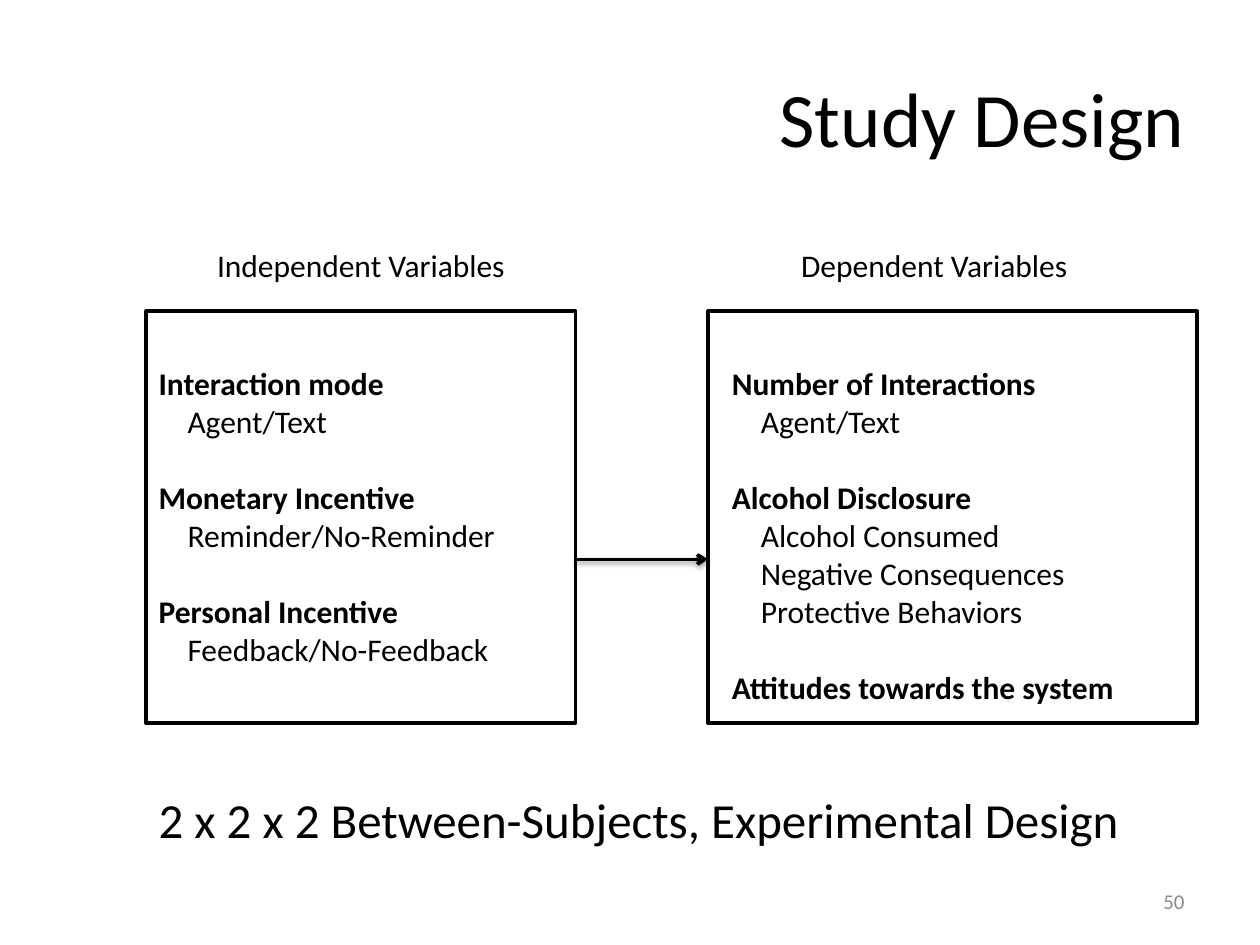
import pptx
import pptx.util
import pptx.dml.color
import pptx.enum.shapes
import pptx.enum.text
import pptx.oxml
import pptx.oxml.ns

COLORS = {"ink": "000000", "paper": "FFFFFF", "number": "8C8C8C"}
FONT = "Calibri"
SLIDE_W, SLIDE_H = 10, 7.5
ALIGN = pptx.enum.text.PP_ALIGN
MIDDLE = pptx.enum.text.MSO_ANCHOR.MIDDLE

# Positions are percentages of the slide's width and height.
LEFT_X, LEFT_W = 11.6, 34.1
RIGHT_X, RIGHT_W = 56.2, 38.8
RIGHT_TEXT_X = 57.1
BOX_Y, BOX_H = 32.93, 43.6
LABEL_Y, LIST_Y, ARROW_Y = 25.33, 37.87, 59.2

INDEPENDENT = [
    ("Interaction mode", ["Agent/Text"]),
    ("Monetary Incentive", ["Reminder/No-Reminder"]),
    ("Personal Incentive", ["Feedback/No-Feedback"]),
]
DEPENDENT = [
    ("Number of Interactions", ["Agent/Text"]),
    ("Alcohol Disclosure", ["Alcohol Consumed", "Negative Consequences",
                            "Protective Behaviors"]),
    ("Attitudes towards the system", []),
]


def across(share):
    return pptx.util.Inches(SLIDE_W * share / 100)


def down(share):
    return pptx.util.Inches(SLIDE_H * share / 100)


def area(x, y, w, h):
    return across(x), down(y), across(w), down(h)


def rgb(name):
    return pptx.dml.color.RGBColor.from_string(COLORS[name])


def add_run(p, text, size=18, color="ink", bold=False):
    r = p.add_run()
    r.text = text
    r.font.name = FONT
    r.font.size = pptx.util.Pt(size)
    r.font.bold = bold
    r.font.color.rgb = rgb(color)


def add_title(s, text):
    sp = s.shapes.title
    sp.left, sp.top, sp.width, sp.height = area(5, 4, 90, 16.67)
    sp.text_frame.vertical_anchor = MIDDLE
    p = sp.text_frame.paragraphs[0]
    p.alignment = ALIGN.RIGHT
    add_run(p, text, 44)


def add_text(s, place, text, size=18, color="ink", align=ALIGN.LEFT,
             anchor=pptx.enum.text.MSO_ANCHOR.TOP, wrap=True):
    tf = s.shapes.add_textbox(*area(*place)).text_frame
    tf.word_wrap = wrap
    tf.vertical_anchor = anchor
    p = tf.paragraphs[0]
    p.alignment = align
    add_run(p, text, size, color)


def add_box(s, x, w):
    sp = s.shapes.add_shape(pptx.enum.shapes.MSO_SHAPE.RECTANGLE,
                            *area(x, BOX_Y, w, BOX_H))
    sp.shadow.inherit = False
    sp.fill.solid()
    sp.fill.fore_color.rgb = rgb("paper")
    sp.line.color.rgb = rgb("ink")
    sp.line.width = pptx.util.Pt(2)


def add_variables(s, x, w, groups):
    tf = s.shapes.add_textbox(*area(x, LIST_Y, w, 41.73)).text_frame
    tf.word_wrap = True
    for i, (heading, levels) in enumerate(groups):
        p = tf.add_paragraph() if i else tf.paragraphs[0]
        if i:
            p.space_before = pptx.util.Pt(22)
        add_run(p, heading, bold=True)
        for level in levels:
            p = tf.add_paragraph()
            p._p.get_or_add_pPr().set("marL", str(pptx.util.Inches(0.23)))
            add_run(p, level)


def add_arrow(s, x1, x2, y):
    c = s.shapes.add_connector(pptx.enum.shapes.MSO_CONNECTOR.STRAIGHT,
                               across(x1), down(y), across(x2), down(y))
    c.line.color.rgb = rgb("ink")
    c.line.width = pptx.util.Pt(2)
    ns = pptx.oxml.ns.nsdecls("a")
    c.line._get_or_add_ln().append(
        pptx.oxml.parse_xml(f'<a:tailEnd {ns} type="arrow"/>'))
    c._element.spPr.append(pptx.oxml.parse_xml(
        f'<a:effectLst {ns}><a:outerShdw blurRad="{pptx.util.Pt(3.1)}" '
        f'dist="{pptx.util.Pt(1.6)}" dir="5400000" rotWithShape="0">'
        f'<a:srgbClr val="{COLORS["ink"]}"><a:alpha val="38000"/></a:srgbClr>'
        '</a:outerShdw></a:effectLst>'))


def main():
    prs = pptx.Presentation()
    prs.slide_width = pptx.util.Inches(SLIDE_W)
    prs.slide_height = pptx.util.Inches(SLIDE_H)
    s = prs.slides.add_slide(prs.slide_layouts[5])
    add_title(s, "Study Design")
    add_text(s, (LEFT_X, 82.93, 79.2, 7.6),
             "2 x 2 x 2 Between-Subjects, Experimental Design", 28, wrap=False)
    add_text(s, (71.7, 92.67, 23.3, 5.33), "50", 12, "number",
             ALIGN.RIGHT, MIDDLE)
    add_box(s, LEFT_X, LEFT_W)
    add_box(s, RIGHT_X, RIGHT_W)
    add_variables(s, LEFT_X, LEFT_W, INDEPENDENT)
    add_variables(s, RIGHT_TEXT_X, 37.9, DEPENDENT)
    add_arrow(s, LEFT_X + LEFT_W, RIGHT_X, ARROW_Y)
    for x, label in ((LEFT_X, "Independent Variables"),
                     (RIGHT_TEXT_X, "Dependent Variables")):
        add_text(s, (x, LABEL_Y, LEFT_W, 5.33), label, align=ALIGN.CENTER)
    prs.save("out.pptx")


if __name__ == "__main__":
    main()
